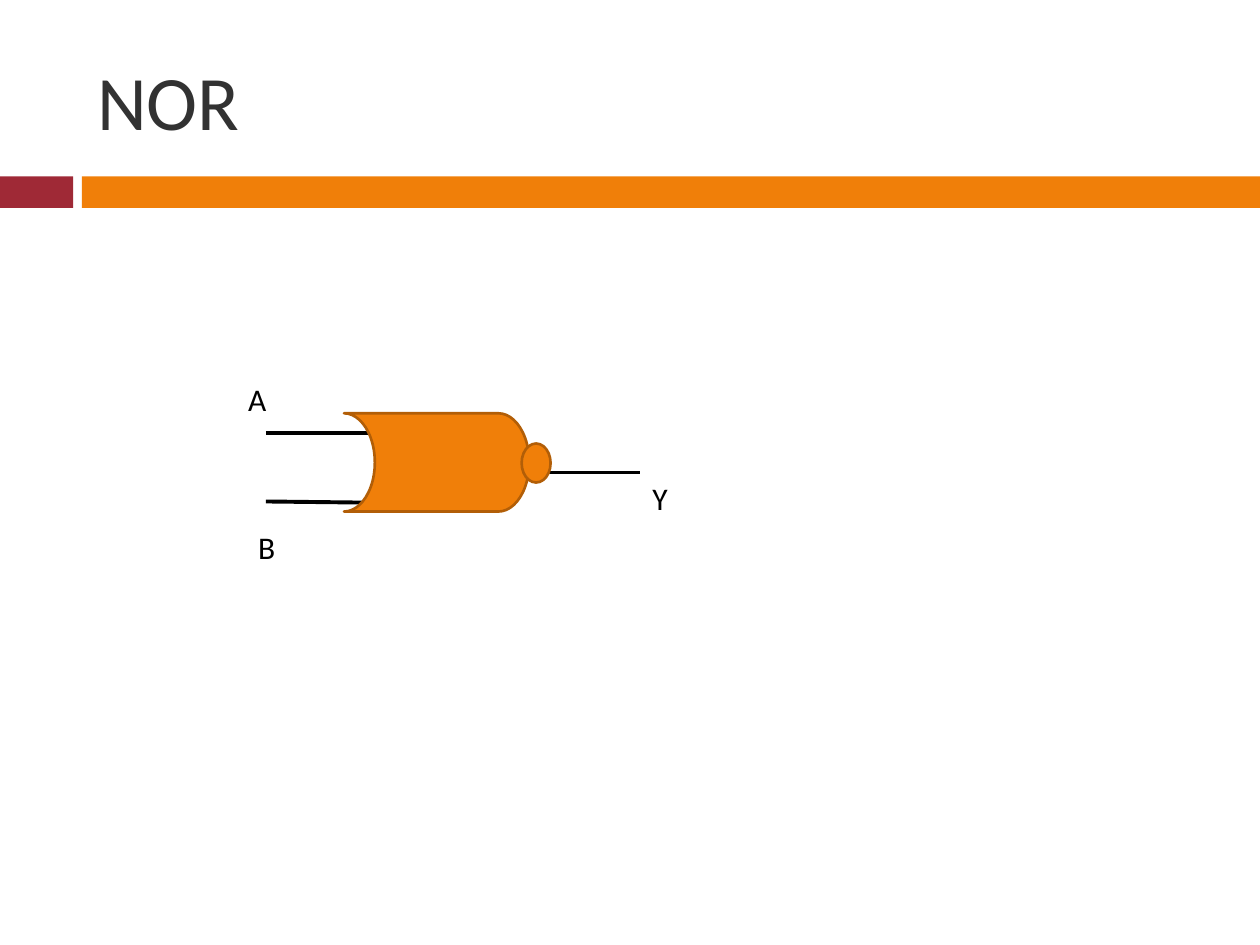
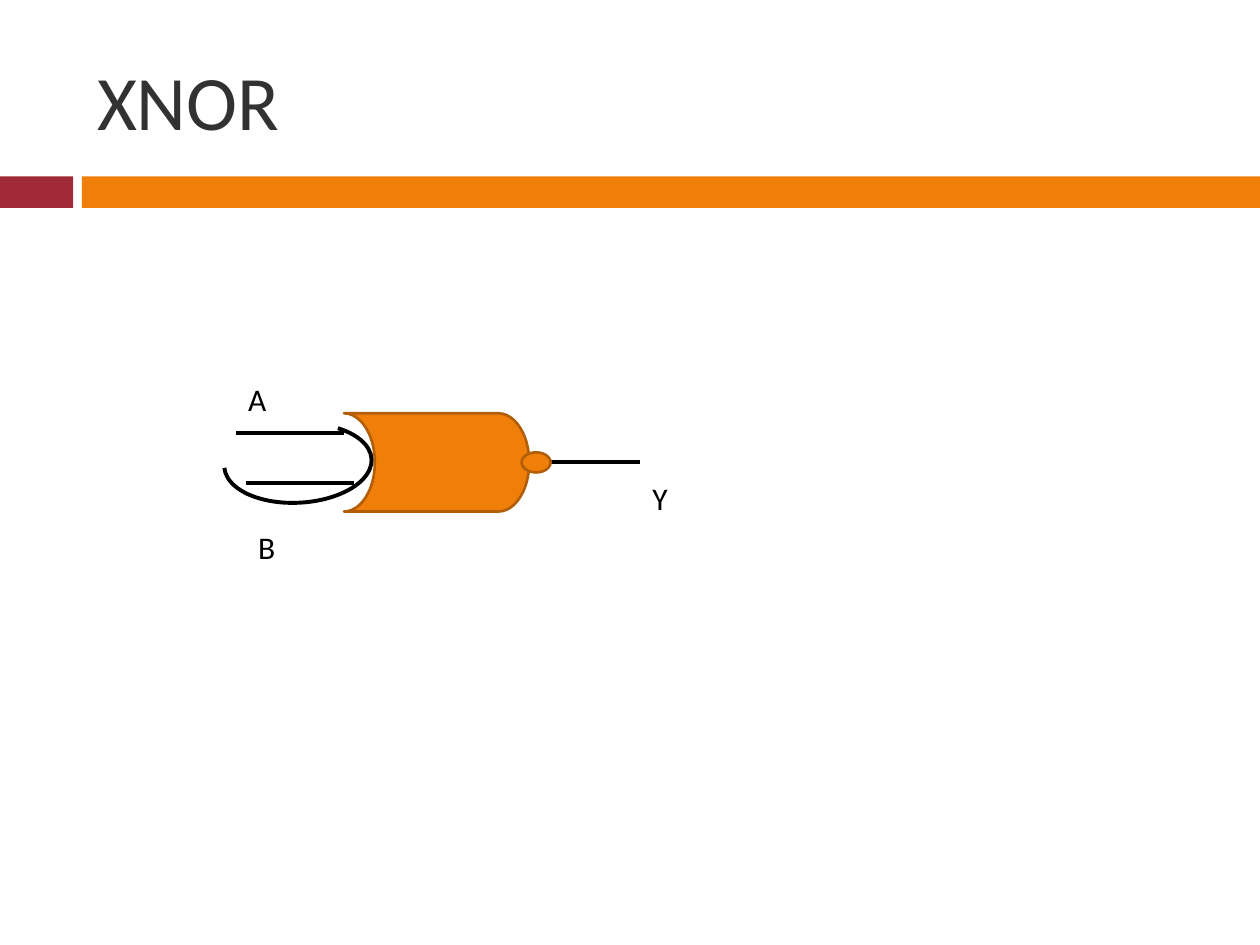
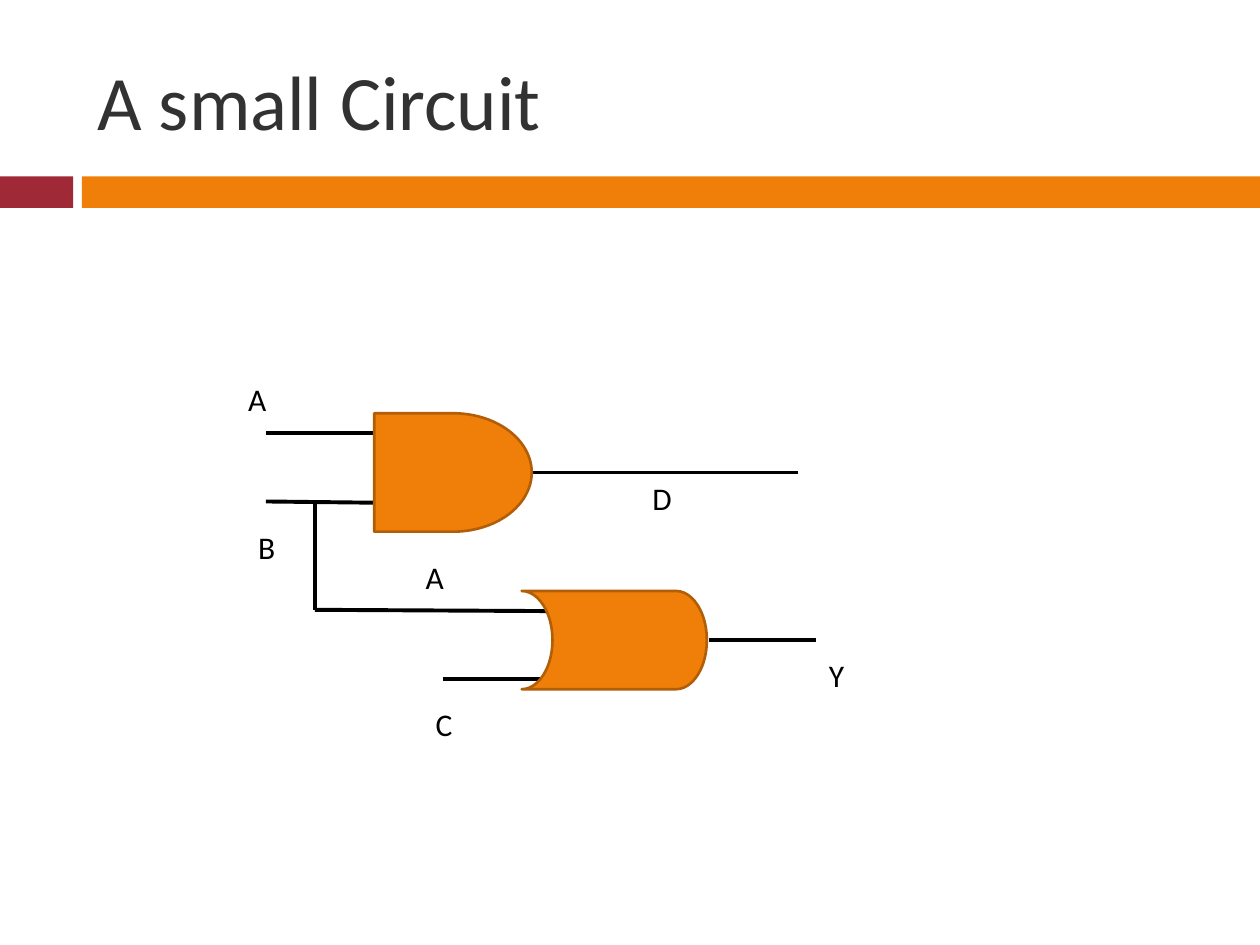
import pptx
import pptx.util
import pptx.dml.color
import pptx.enum.shapes
import pptx.enum.text
import pptx.oxml
import lxml.etree

PX = 9144
FONT = "Calibri"
INK, BLACK = "323232", "000000"
RED, ORANGE, RUST = "9F2936", "F07F09", "B25E07"
KIND = pptx.enum.shapes.MSO_SHAPE

BANDS = [((0, 140, 58, 25), RED), ((65, 140, 935, 25), ORANGE)]
TITLE = (67, 25, 892, 108)

TAGS = [("A", 187, 297), ("B", 195, 414)]
OUT = (508, 375)
WIRES = [(211, 344, 297, 344), (211, 398, 297, 399)]
OR = ("or", (273, 328, 147, 78))
STEP = 141

SLIDES = [
    {
        "title": "NOR",
        "wires": WIRES + [(422, 375, 508, 375)],
        "tags": TAGS + [("Y", *OUT)],
        "parts": [OR, ("dot", (414, 352, 23, 31))],
    },
    {
        "title": "XNOR",
        "wires": [(187, 344, 273, 344), (195, 383, 281, 383), (422, 367, 508, 367)],
        "tags": TAGS + [("Y", *OUT)],
        "parts": [OR, ("arc", (178, 336, 117, 63)), ("dot", (414, 359, 23, 16))],
    },
    {
        "title": "A small Circuit",
        "wires": WIRES + [
            (422, 375, 633, 375),
            (250, 399, 250, 484),
            (250, 484, 437, 485),
            (352, 539, 437, 539),
            (563, 508, 648, 508),
        ],
        "tags": TAGS + [
            ("D", *OUT),
            ("A", 187 + STEP, 297 + STEP),
            ("C", 195 + STEP, 414 + STEP),
            ("Y", 507 + STEP, 375 + STEP),
        ],
        "parts": [("and", (297, 328, 125, 94)), ("or", (414, 469, 147, 78))],
    },
]

KINDS = {
    "or": KIND.FLOWCHART_STORED_DATA,
    "and": KIND.FLOWCHART_DELAY,
    "dot": KIND.OVAL,
    "arc": KIND.ARC,
}


def px(*nums):
    return [pptx.util.Emu(n * PX) for n in nums]


def tint(text):
    return pptx.dml.color.RGBColor.from_string(text)


def stroke(line, hue, size):
    line.color.rgb = tint(hue)
    line.width = pptx.util.Pt(size)


def write(frame, text, size, hue):
    frame.text = text
    para = frame.paragraphs[0]
    para.alignment = pptx.enum.text.PP_ALIGN.LEFT
    font = para.runs[0].font
    font.name, font.size = FONT, pptx.util.Pt(size)
    font.color.rgb = tint(hue)


def shape(slide, kind, box):
    item = slide.shapes.add_shape(kind, *px(*box))
    item.shadow.inherit = False
    return item


def band(slide, box, hue):
    item = shape(slide, KIND.RECTANGLE, box)
    item.fill.solid()
    item.fill.fore_color.rgb = tint(hue)
    item.line.fill.background()


def head(slide, text):
    title = slide.shapes.title
    title.left, title.top, title.width, title.height = px(*TITLE)
    frame = title.text_frame
    write(frame, text, 44, INK)
    frame.auto_size = pptx.enum.text.MSO_AUTO_SIZE.NONE
    frame.vertical_anchor = pptx.enum.text.MSO_ANCHOR.MIDDLE


def wire(slide, ends):
    kind = pptx.enum.shapes.MSO_CONNECTOR.STRAIGHT
    item = slide.shapes.add_connector(kind, *px(*ends))
    stroke(item.line, BLACK, 2.25)
    lxml.etree.SubElement(item.element.spPr, pptx.oxml.ns.qn("a:effectLst"))


def tag(slide, text, left, top):
    frame = slide.shapes.add_textbox(*px(left, top, 39, 40)).text_frame
    frame.word_wrap = True
    write(frame, text, 18, BLACK)


def part(slide, name, box):
    item = shape(slide, KINDS[name], box)
    if name == "arc":
        item.fill.background()
        stroke(item.line, BLACK, 2.25)
        for i, angle in enumerate((180.65, 38)):
            item.adjustments[i] = angle * 0.6
        item.rotation = 176.9
        item.element.spPr.find(pptx.oxml.ns.qn("a:xfrm")).set("flipH", "1")
        return
    item.fill.solid()
    item.fill.fore_color.rgb = tint(ORANGE)
    stroke(item.line, RUST, 1.5)
    if name == "or":
        item.rotation = 180


def main():
    deck = pptx.Presentation()
    deck.slide_width, deck.slide_height = px(1000, 750)
    for data in SLIDES:
        slide = deck.slides.add_slide(deck.slide_layouts[5])
        for box, hue in BANDS:
            band(slide, box, hue)
        head(slide, data["title"])
        for ends in data["wires"]:
            wire(slide, ends)
        for text, left, top in data["tags"]:
            tag(slide, text, left, top)
        for name, box in data["parts"]:
            part(slide, name, box)
    deck.save("out.pptx")


if __name__ == "__main__":
    main()
